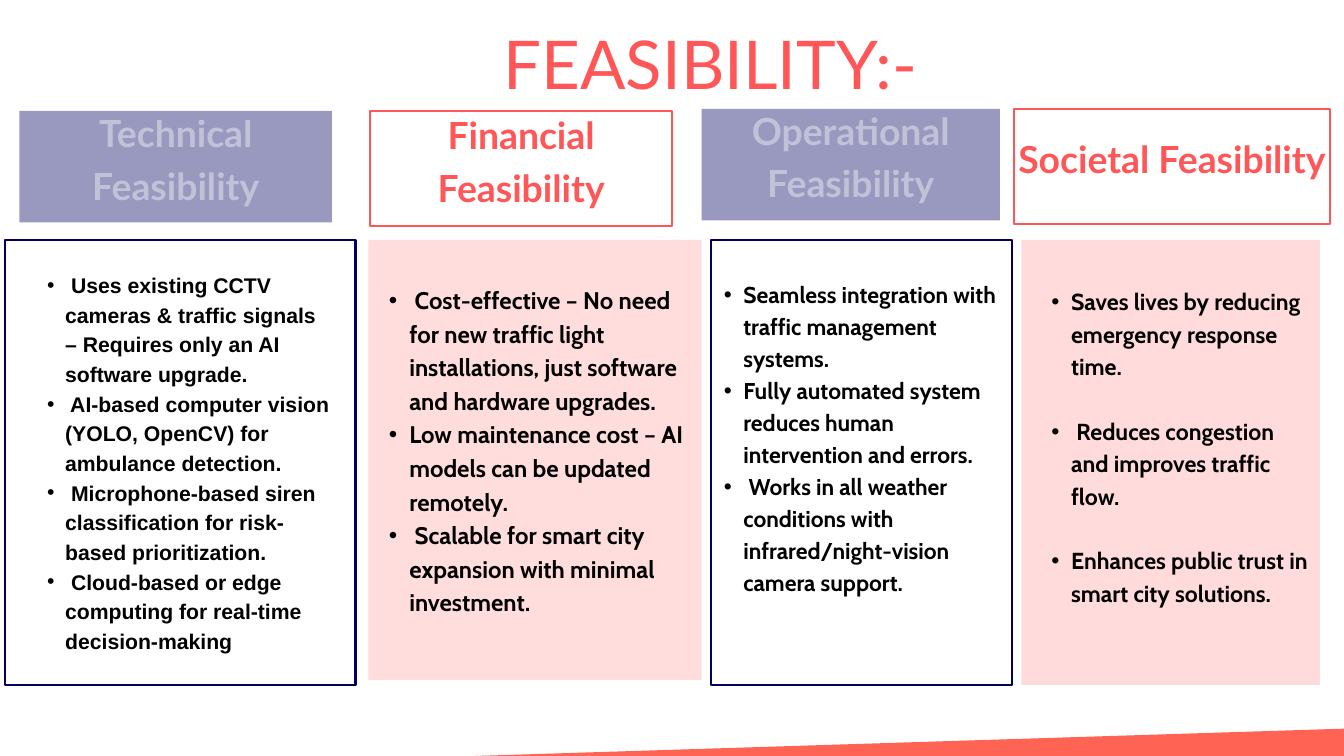
from dataclasses import dataclass

from lxml.etree import SubElement
from pptx import Presentation
from pptx.dml.color import RGBColor
from pptx.enum.shapes import MSO_SHAPE
from pptx.enum.text import MSO_ANCHOR, PP_ALIGN
from pptx.oxml.ns import qn
from pptx.util import Pt


@dataclass(frozen=True)
class Theme:
    coral: str = "FF5757"
    ribbon: str = "FF6354"
    navy: str = "000060"
    white: str = "FFFFFF"
    black: str = "000000"
    heading_font: str = "Lato"
    title_size: float = 72
    header_size: float = 40
    line_width: float = 2.25
    line_factor: float = 1.4
    indent_factor: float = 1.71


class SlideBuilder:
    def __init__(self, slide, theme):
        self.slide = slide
        self.theme = theme

    def fade(self, shape, opacity):
        for color in shape._element.iter(qn("a:srgbClr")):
            SubElement(color, qn("a:alpha"), val=str(opacity * 1000))

    def rectangle(self, box, fill=None, line=None, opacity=100, rotation=0):
        shape = self.slide.shapes.add_shape(MSO_SHAPE.RECTANGLE, *map(Pt, box))
        shape.shadow.inherit = False
        shape.rotation = rotation
        if fill:
            shape.fill.solid()
            shape.fill.fore_color.rgb = RGBColor.from_string(fill)
        else:
            shape.fill.background()
        if line:
            shape.line.color.rgb = RGBColor.from_string(line)
            shape.line.width = Pt(self.theme.line_width)
        else:
            shape.line.fill.background()
        if opacity < 100:
            self.fade(shape, opacity)

    def text_box(self, box, inset=0, anchor=MSO_ANCHOR.TOP):
        shape = self.slide.shapes.add_textbox(*map(Pt, box))
        frame = shape.text_frame
        frame.word_wrap = True
        frame.vertical_anchor = anchor
        frame.margin_left = frame.margin_right = Pt(inset)
        frame.margin_top = frame.margin_bottom = Pt(inset)
        return shape

    def style(self, paragraph, font, size, color, spacing, bold=True):
        paragraph.line_spacing = Pt(spacing)
        paragraph.font.name = font
        paragraph.font.size = Pt(size)
        paragraph.font.bold = bold
        paragraph.font.color.rgb = RGBColor.from_string(color)

    def title(self, text, box):
        paragraph = self.text_box(box).text_frame.paragraphs[0]
        paragraph.text = text
        paragraph.alignment = PP_ALIGN.CENTER
        theme = self.theme
        self.style(paragraph, theme.heading_font, theme.title_size, theme.coral, 128.8, False)

    def header(self, text, box, filled):
        theme = self.theme
        if filled:
            self.rectangle(box, fill=theme.navy, opacity=40)
        else:
            self.rectangle(box, line=theme.coral)
        left, top, width, height = box
        rise = 24.5
        shape = self.text_box((left, top - rise, width, height + rise), 4, MSO_ANCHOR.MIDDLE)
        paragraph = shape.text_frame.paragraphs[0]
        paragraph.text = text
        paragraph.alignment = PP_ALIGN.CENTER
        color = theme.white if filled else theme.coral
        self.style(paragraph, theme.heading_font, theme.header_size, color,
                   theme.header_size * theme.line_factor)
        if filled:
            self.fade(shape, 40)

    def panel(self, box, opacity):
        if opacity:
            self.rectangle(box, fill=self.theme.coral, opacity=opacity)
        else:
            self.rectangle(box, line=self.theme.navy)

    def bullets(self, items, box, font, size, gap_lines=0):
        frame = self.text_box(box).text_frame
        margin = Pt(size * self.theme.indent_factor)
        spacing = size * self.theme.line_factor
        for index, item in enumerate(items):
            paragraph = frame.add_paragraph() if index else frame.paragraphs[0]
            paragraph.text = item
            paragraph.level = 1
            properties = paragraph._p.get_or_add_pPr()
            properties.set("marL", str(margin))
            properties.set("indent", str(-margin // 2))
            SubElement(properties, qn("a:buFont"), typeface="Arial")
            SubElement(properties, qn("a:buChar"), char="•")
            if index and gap_lines:
                paragraph.space_before = Pt(spacing * gap_lines)
            self.style(paragraph, font, size, self.theme.black, spacing)


COLUMNS = [
    dict(header="Technical Feasibility", header_box=(20.9, 118.8, 334.8, 119.5), filled=True,
         panel_box=(5.8, 257, 375.1, 476.8), opacity=0,
         text_box=(31, 287.3, 324.7, 409), font="Arial", size=22.7, gap_lines=0,
         items=[" Uses existing CCTV cameras & traffic signals – Requires only an AI software upgrade.",
                " AI-based computer vision (YOLO, OpenCV) for ambulance detection.",
                " Microphone-based siren classification for risk-based prioritization.",
                " Cloud-based or edge computing for real-time decision-making"]),
    dict(header="Financial Feasibility", header_box=(396.7, 118.8, 323.3, 123.8), filled=False,
         panel_box=(394.6, 257, 357.1, 471.6), opacity=20,
         text_box=(394.6, 301, 342.7, 386.6), font="Cabin", size=25.7, gap_lines=0,
         items=[" Cost-effective – No need for new traffic light installations, "
                "just software and hardware upgrades.",
                "Low maintenance cost – AI models can be updated remotely.",
                " Scalable for smart city expansion with minimal investment."]),
    dict(header="Operational Feasibility", header_box=(751.7, 116.6, 319.7, 119.5), filled=True,
         panel_box=(761.8, 257, 322.9, 476.8), opacity=0,
         text_box=(754.6, 295.9, 316.8, 369.4), font="Cabin", size=24.5, gap_lines=0,
         items=["Seamless integration with traffic management systems.",
                "Fully automated system reduces human intervention and errors.",
                " Works in all weather conditions with infrared/night-vision camera support."]),
    dict(header="Societal Feasibility", header_box=(1086.5, 116.6, 338.4, 123.8), filled=False,
         panel_box=(1094.4, 257, 319.7, 476.8), opacity=21,
         text_box=(1105.2, 303.1, 298.1, 377.3), font="Cabin", size=24.8, gap_lines=1,
         items=["Saves lives by reducing emergency response time.",
                " Reduces congestion and improves traffic flow.",
                "Enhances public trust in smart city solutions."]),
]


def main():
    presentation = Presentation()
    presentation.slide_width = Pt(1440)
    presentation.slide_height = Pt(810)
    slide = presentation.slides.add_slide(presentation.slide_layouts[6])
    theme = Theme()
    builder = SlideBuilder(slide, theme)

    builder.rectangle((252.7, 799.2, 1201.7, 61.9), fill=theme.ribbon, rotation=358.2)
    builder.title("FEASIBILITY:-", (460.1, -18.7, 602.6, 115.9))
    for column in COLUMNS:
        builder.header(column["header"], column["header_box"], column["filled"])
        builder.panel(column["panel_box"], column["opacity"])
        builder.bullets(column["items"], column["text_box"], column["font"],
                        column["size"], column["gap_lines"])

    presentation.save("out.pptx")


if __name__ == "__main__":
    main()
